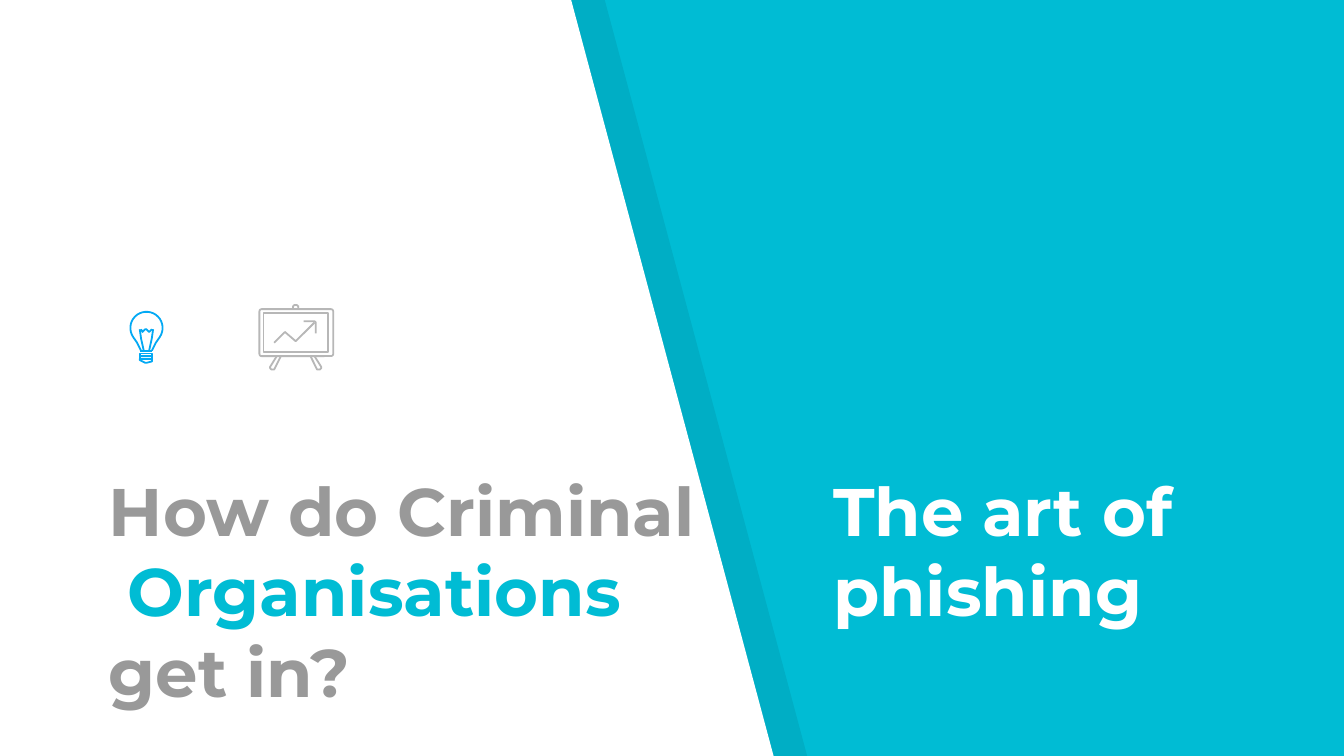
from math import cos, radians, sin

from lxml.etree import SubElement
from pptx import Presentation
from pptx.dml.color import RGBColor
from pptx.enum.shapes import MSO_SHAPE
from pptx.enum.text import MSO_ANCHOR, MSO_AUTO_SIZE, PP_ALIGN
from pptx.oxml.ns import qn
from pptx.util import Inches, Pt

CYAN, WHITE, GRAY = "00BCD4", "FFFFFF", "999999"
BOARD_COLOR, BULB_COLOR = "B7B7B7", "03A9F4"

TITLE = [("How do Criminal\v", GRAY), (" Organisations ", CYAN), ("get in?", GRAY)]
TOPIC = [("The art of phishing", WHITE)]

PANEL = [(0, -0.01), (-0.01, 5.64), (5.76, 5.64), (4.25, 0)]
SHADE_OFFSET = 0.25

# Board icon
BOARD_AXIS = 2.2
BOARD_FRAME = (1.93, 2.3, 0.55, 0.35)
BOARD_SCREEN = (1.96, 2.33, 0.48, 0.29)
BOARD_KNOB = [(2.18, 2.3), (2.18, 2.28), (2.19, 2.27), (2.21, 2.27), (2.22, 2.28), (2.22, 2.3)]
BOARD_LEG = [(2.06, 2.65), (2.01, 2.73), (2.01, 2.74), (2.02, 2.75), (2.03, 2.75),
             (2.04, 2.75), (2.09, 2.65)]
BOARD_TREND = [(2.04, 2.55), (2.12, 2.47), (2.19, 2.53), (2.2, 2.54), (2.21, 2.53), (2.34, 2.4)]
BOARD_TREND_TIP = [(2.26, 2.39), (2.34, 2.39), (2.35, 2.4), (2.35, 2.48)]

# Bulb icon
BULB_AXIS = 1.09
BULB_CENTER_Y, BULB_RADIUS = 2.44, 0.12
BULB_NECK = [(1.13, 2.61), (1.14, 2.59), (1.16, 2.55)]
BULB_WIRE = [(1.14, 2.45), (1.13, 2.52), (1.11, 2.61)]
BULB_FILAMENT = [(1.05, 2.45), (1.06, 2.47), (1.08, 2.45), (1.09, 2.45), (1.11, 2.47), (1.13, 2.45)]
BULB_COLLAR = [(1.04, 2.61), (1.13, 2.61)]
BULB_RINGS = [(1.04, top, 0.09, 0.02) for top in (2.63, 2.65)]
BULB_CAP = [(1.04, 2.67), (1.04, 2.68), (1.08, 2.7), (1.09, 2.7), (1.13, 2.69), (1.13, 2.67)]


def rgb(hex_color):
    return RGBColor.from_string(hex_color)


def mirror(points, axis):
    return [(2 * axis - x, y) for x, y in points]


def style(shape, fill=None, line=None, opacity=None):
    shape.shadow.inherit = False
    if fill:
        shape.fill.solid()
        shape.fill.fore_color.rgb = rgb(fill)
        if opacity is not None:
            color = shape.fill._xPr.find(qn("a:solidFill"))[0]
            SubElement(color, qn("a:alpha"), val=str(opacity * 1000))
    else:
        shape.fill.background()
    if line:
        shape.line.color.rgb = rgb(line)
        shape.line.width = Pt(0.96)
    else:
        shape.line.fill.background()


def draw_path(shapes, points, closed=False, **look):
    corners = [(Inches(x), Inches(y)) for x, y in points]
    builder = shapes.build_freeform(*corners[0])
    builder.add_line_segments(corners[1:], close=closed)
    style(builder.convert_to_shape(), **look)


def draw_box(shapes, box, kind=MSO_SHAPE.RECTANGLE, **look):
    shape = shapes.add_shape(kind, *map(Inches, box))
    if kind == MSO_SHAPE.ROUNDED_RECTANGLE:
        shape.adjustments[0] = 0.05
    style(shape, **look)


def write(shape, runs, size=36, font="Montserrat", anchor=MSO_ANCHOR.TOP):
    frame = shape.text_frame
    frame.word_wrap = True
    frame.auto_size = MSO_AUTO_SIZE.NONE
    frame.vertical_anchor = anchor
    frame.margin_left = frame.margin_right = Inches(0.1)
    frame.margin_top = frame.margin_bottom = Inches(0.1)
    paragraph = frame.paragraphs[0]
    paragraph.alignment = PP_ALIGN.LEFT
    for text, color in runs:
        words = text.rstrip("\v")
        run = paragraph.add_run()
        run.text = words
        run.font.name = font
        run.font.size = Pt(size)
        run.font.bold = True
        run.font.color.rgb = rgb(color)
        if words != text:
            paragraph.add_line_break()


def draw_board(slide):
    shapes = slide.shapes.add_group_shape().shapes
    draw_box(shapes, BOARD_FRAME, MSO_SHAPE.ROUNDED_RECTANGLE, line=BOARD_COLOR)
    draw_box(shapes, BOARD_SCREEN, line=BOARD_COLOR)
    for points in (BOARD_KNOB, BOARD_LEG, mirror(BOARD_LEG, BOARD_AXIS),
                   BOARD_TREND, BOARD_TREND_TIP):
        draw_path(shapes, points, line=BOARD_COLOR)


def draw_bulb(slide):
    shapes = slide.shapes.add_group_shape().shapes
    dome = [(BULB_AXIS + BULB_RADIUS * cos(radians(angle)),
             BULB_CENTER_Y + BULB_RADIUS * sin(radians(angle)))
            for angle in range(35, -216, -10)]
    glass = BULB_NECK + dome + mirror(BULB_NECK, BULB_AXIS)[::-1]
    for ring in BULB_RINGS:
        draw_box(shapes, ring, line=BULB_COLOR)
    draw_path(shapes, BULB_CAP, closed=True, line=BULB_COLOR)
    for points in (glass, BULB_WIRE, mirror(BULB_WIRE, BULB_AXIS), BULB_FILAMENT, BULB_COLLAR):
        draw_path(shapes, points, line=BULB_COLOR)


def main():
    prs = Presentation()
    prs.slide_width = Inches(10)
    prs.slide_height = prs.slide_width * 9 // 16
    slide = prs.slides.add_slide(prs.slide_layouts[0])
    slide.background.fill.solid()
    slide.background.fill.fore_color.rgb = rgb(CYAN)
    title, subtitle = slide.placeholders
    subtitle._element.getparent().remove(subtitle._element)

    shade = [(x + SHADE_OFFSET, y) for x, y in PANEL]
    draw_path(slide.shapes, shade, closed=True, fill="000000", opacity=7)
    draw_path(slide.shapes, PANEL, closed=True, fill=WHITE)

    # Bring the title in front of the panels
    slide.shapes._spTree.append(title._element)
    title.left, title.top = Inches(0.71), Inches(2.76)
    title.width, title.height = Inches(4.62), Inches(2.63)
    write(title, TITLE, anchor=MSO_ANCHOR.BOTTOM)

    draw_board(slide)
    topic = slide.shapes.add_textbox(Inches(6.1), Inches(3.39), Inches(3.3), Inches(1.37))
    write(topic, TOPIC)
    draw_bulb(slide)
    prs.save("out.pptx")


if __name__ == "__main__":
    main()
